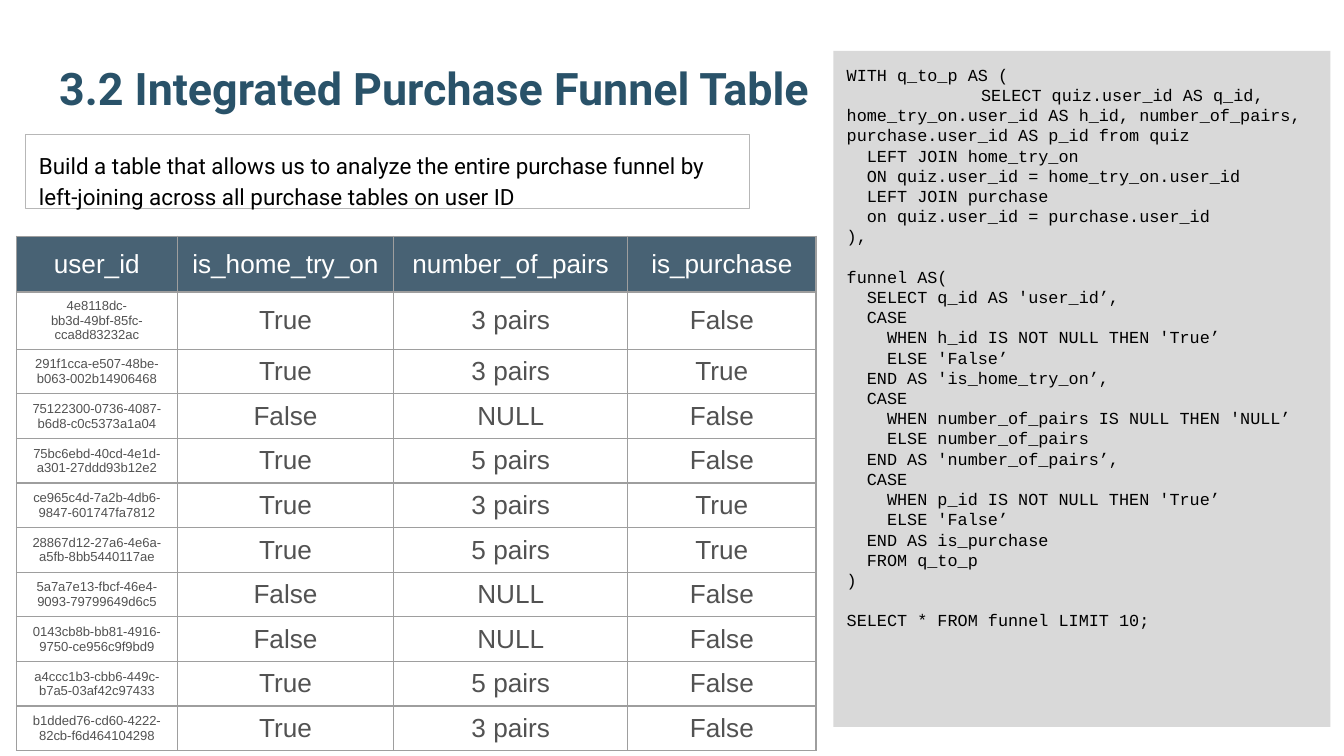
import pptx
import pptx.util
import pptx.dml.color
import pptx.enum.shapes
import pptx.enum.text
import pptx.oxml
import pptx.oxml.ns

Pt = pptx.util.Pt
RGBColor = pptx.dml.color.RGBColor
Anchor = pptx.enum.text.MSO_ANCHOR
Align = pptx.enum.text.PP_ALIGN

NAVY = RGBColor(0x29, 0x52, 0x69)
HEADER = RGBColor(0x20, 0x40, 0x56)
PANEL = RGBColor(0xD9, 0xD9, 0xD9)
OUTLINE = RGBColor(0xB7, 0xB7, 0xB7)
GRID = RGBColor(0x9E, 0x9E, 0x9E)
BODY = RGBColor(0x52, 0x52, 0x52)
BLACK = RGBColor(0, 0, 0)
WHITE = RGBColor(0xFF, 0xFF, 0xFF)

TITLE_FONT = {"name": "Roboto", "size": Pt(24), "bold": True}
SUMMARY_FONT = {"name": "Roboto", "size": Pt(12)}
CODE_FONT = {"name": "Courier New", "size": Pt(9)}
CELL_FONT = {"name": "Arial", "size": Pt(14), "bold": False}
ID_FONT = {**CELL_FONT, "size": Pt(7)}

QUERY = """WITH q_to_p AS (
\tSELECT quiz.user_id AS q_id, home_try_on.user_id AS h_id, number_of_pairs, purchase.user_id AS p_id from quiz
  LEFT JOIN home_try_on
  ON quiz.user_id = home_try_on.user_id
  LEFT JOIN purchase
  on quiz.user_id = purchase.user_id
),

funnel AS(
  SELECT q_id AS 'user_id’,
  CASE
    WHEN h_id IS NOT NULL THEN 'True’
    ELSE 'False’
  END AS 'is_home_try_on’,
  CASE
    WHEN number_of_pairs IS NULL THEN 'NULL’
    ELSE number_of_pairs
  END AS 'number_of_pairs’,
  CASE
    WHEN p_id IS NOT NULL THEN 'True’
    ELSE 'False’
  END AS is_purchase
  FROM q_to_p
)

SELECT * FROM funnel LIMIT 10;"""

FUNNEL = [
    ("user_id", "is_home_try_on", "number_of_pairs", "is_purchase"),
    ("4e8118dc-bb3d-49bf-85fc-cca8d83232ac", "True", "3 pairs", "False"),
    ("291f1cca-e507-48be-b063-002b14906468", "True", "3 pairs", "True"),
    ("75122300-0736-4087-b6d8-c0c5373a1a04", "False", "NULL", "False"),
    ("75bc6ebd-40cd-4e1d-a301-27ddd93b12e2", "True", "5 pairs", "False"),
    ("ce965c4d-7a2b-4db6-9847-601747fa7812", "True", "3 pairs", "True"),
    ("28867d12-27a6-4e6a-a5fb-8bb5440117ae", "True", "5 pairs", "True"),
    ("5a7a7e13-fbcf-46e4-9093-79799649d6c5", "False", "NULL", "False"),
    ("0143cb8b-bb81-4916-9750-ce956c9f9bd9", "False", "NULL", "False"),
    ("a4ccc1b3-cbb6-449c-b7a5-03af42c97433", "True", "5 pairs", "False"),
    ("b1dded76-cd60-4222-82cb-f6d464104298", "True", "3 pairs", "False"),
]


def apply(target, values):
    for attribute, value in values.items():
        setattr(target, attribute, value)


def add_xml(parent, index, xml):
    declared = xml.replace(" ", f" {pptx.oxml.ns.nsdecls('a')} ", 1)
    parent.insert(index, pptx.oxml.parse_xml(declared))


class FunnelSlide:
    inset = Pt(7.2)
    border = Pt(0.75)

    def __init__(self, deck):
        self.slide = deck.slides.add_slide(deck.slide_layouts[5])

    def set_text(self, frame, lines, font, color, align=Align.LEFT, spacing=1.0):
        frame.text = lines
        for paragraph in frame.paragraphs:
            if "\t" in lines:
                add_xml(paragraph._p.get_or_add_pPr(), 0,
                        f'<a:tabLst ><a:tab pos="{Pt(72)}" algn="l"/></a:tabLst>')
            apply(paragraph, {"alignment": align, "line_spacing": spacing})
            apply(paragraph.font, font)
            paragraph.font.color.rgb = color

    def frame_text(self, shape, anchor):
        margins = {f"margin_{side}": self.inset
                   for side in ("left", "right", "top", "bottom")}
        apply(shape.text_frame, {
            **margins, "word_wrap": True, "vertical_anchor": anchor,
            "auto_size": pptx.enum.text.MSO_AUTO_SIZE.NONE})

    def title(self, text, left, top, width, height):
        heading = self.slide.shapes.title
        apply(heading, {"left": Pt(left), "top": Pt(top),
                        "width": Pt(width), "height": Pt(height)})
        self.frame_text(heading, Anchor.BOTTOM)
        self.set_text(heading.text_frame, text, TITLE_FONT, NAVY)

    def box(self, text, left, top, width, height, font, fill=None, line=None, spacing=1.0):
        panel = self.slide.shapes.add_shape(
            pptx.enum.shapes.MSO_SHAPE.RECTANGLE,
            Pt(left), Pt(top), Pt(width), Pt(height))
        panel.shadow.inherit = False
        if fill is None:
            panel.fill.background()
        else:
            panel.fill.solid()
            panel.fill.fore_color.rgb = fill
        if line is None:
            panel.line.fill.background()
        else:
            panel.line.color.rgb = line
            panel.line.width = self.border
        self.frame_text(panel, Anchor.TOP)
        self.set_text(panel.text_frame, text, font, BLACK, spacing=spacing)

    def cell(self, cell, text, is_header, is_id):
        color = WHITE if is_header else BODY
        font = ID_FONT if is_id and not is_header else CELL_FONT
        self.set_text(cell.text_frame, text, font, color, Align.CENTER)
        cell.vertical_anchor = Anchor.MIDDLE
        properties = cell._tc.get_or_add_tcPr()
        if is_header:
            cell.fill.solid()
            cell.fill.fore_color.rgb = HEADER
            tint = properties.find(".//" + pptx.oxml.ns.qn("a:srgbClr"))
            add_xml(tint, 0, '<a:alpha val="82000"/>')
        else:
            cell.fill.background()
        for index, side in enumerate("LRTB"):
            add_xml(properties, index,
                    f'<a:ln{side} w="{self.border}"><a:solidFill>'
                    f'<a:srgbClr val="{GRID}"/></a:solidFill></a:ln{side}>')

    def table(self, records, left, top, widths, header_height, row_height):
        heights = [header_height] + [row_height] * (len(records) - 1)
        grid = self.slide.shapes.add_table(
            len(records), len(widths), Pt(left), Pt(top),
            Pt(sum(widths)), Pt(sum(heights))).table
        grid.horz_banding = False
        for column, width in zip(grid.columns, widths):
            column.width = Pt(width)
        for row_index, (row, height, record) in enumerate(zip(grid.rows, heights, records)):
            row.height = Pt(height)
            for column_index, text in enumerate(record):
                self.cell(row.cells[column_index], text, row_index == 0, column_index == 0)


def main():
    deck = pptx.Presentation()
    apply(deck, {"slide_width": Pt(720), "slide_height": Pt(405)})
    funnel = FunnelSlide(deck)
    funnel.title("3.2 Integrated Purchase Funnel Table", 24.5, 15, 671, 53.5)
    funnel.box(QUERY, 446.5, 27.3, 266.2, 362.2, CODE_FONT, fill=PANEL)
    funnel.box("Build a table that allows us to analyze the entire purchase funnel "
               "by left-joining across all purchase tables on user ID",
               13.8, 72.2, 387.6, 39.4, SUMMARY_FONT, line=OUTLINE, spacing=1.15)
    funnel.table(FUNNEL, 8.8, 126.6, [86.2, 116, 125.4, 100.8], 29.9, 23.9)
    deck.save("out.pptx")


if __name__ == "__main__":
    main()
